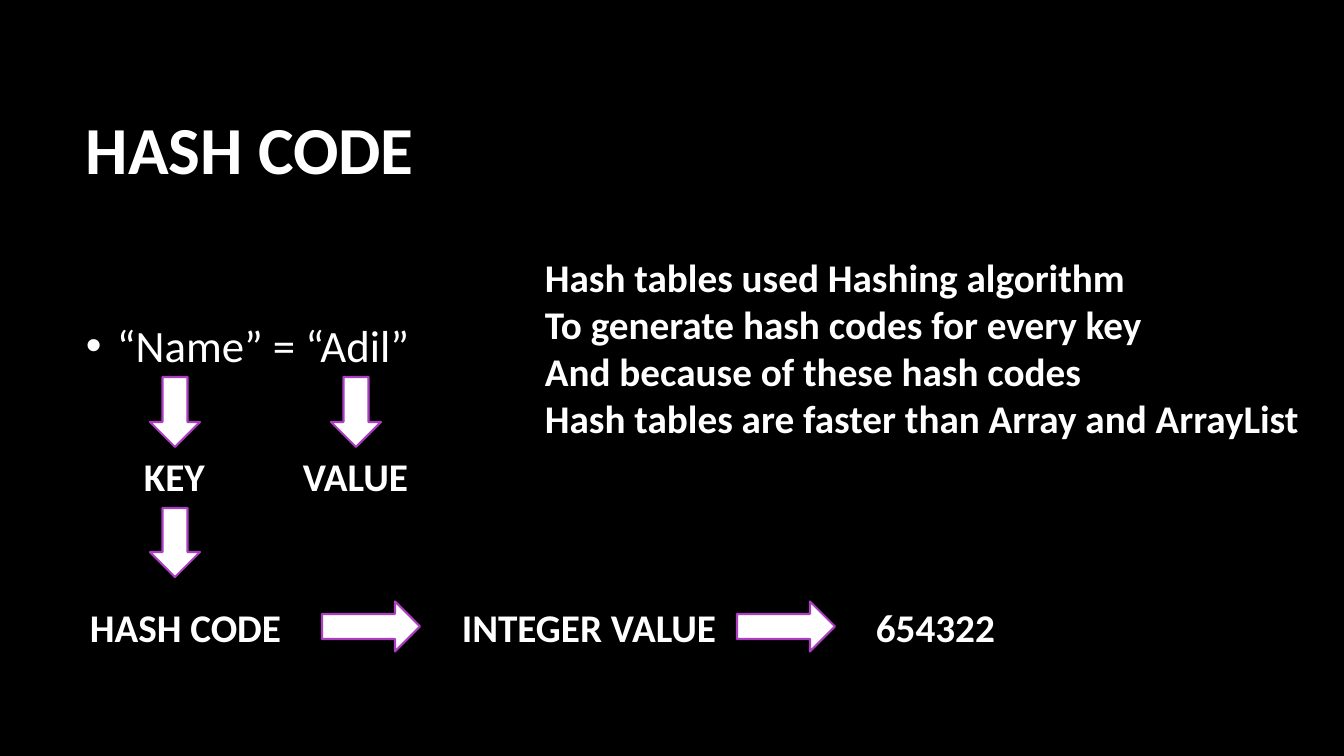
from pptx import Presentation
from pptx.dml.color import RGBColor
from pptx.enum.shapes import MSO_SHAPE
from pptx.enum.text import MSO_ANCHOR, MSO_AUTO_SIZE
from pptx.oxml import parse_xml
from pptx.oxml.ns import nsdecls
from pptx.util import Emu, Pt

COLORS = {"background": "000000", "text": "FFFFFF", "arrow": "FFFFFF", "outline": "AC3EC1"}
EMU_PER_PX = 914400 / 100.8
LABEL_H = 57


def px(n):
    return Emu(round(n * EMU_PER_PX))


def rgb(name):
    return RGBColor.from_string(COLORS[name])


def add_bullet(p, indent):
    pPr = p._p.get_or_add_pPr()
    pPr.set("marL", str(px(indent)))
    pPr.set("indent", str(-px(indent)))
    pPr.append(parse_xml(f'<a:buFont {nsdecls("a")} typeface="Arial"/>'))
    pPr.append(parse_xml(f'<a:buChar {nsdecls("a")} char="•"/>'))


def add_text(slide, text, x, y, w, h, size=28, bold=True, wrap=False,
             anchor=MSO_ANCHOR.TOP, bullet_indent=0):
    tf = slide.shapes.add_textbox(px(x), px(y), px(w), px(h)).text_frame
    tf.word_wrap = wrap
    tf.auto_size = MSO_AUTO_SIZE.NONE if wrap else MSO_AUTO_SIZE.SHAPE_TO_FIT_TEXT
    tf.vertical_anchor = anchor
    for i, line in enumerate(text.split("\n")):
        p = tf.add_paragraph() if i else tf.paragraphs[0]
        if bullet_indent:
            add_bullet(p, bullet_indent)
        r = p.add_run()
        r.text = line
        r.font.name = "Calibri"
        r.font.size = Pt(size)
        r.font.bold = bold
        r.font.color.rgb = rgb("text")


def add_arrow(slide, kind, x, y, w, h):
    sp = slide.shapes.add_shape(kind, px(x), px(y), px(w), px(h))
    sp.shadow.inherit = False
    sp.fill.solid()
    sp.fill.fore_color.rgb = rgb("arrow")
    sp.line.color.rgb = rgb("outline")
    sp.line.width = Pt(1.5)


def add_title(slide, x, y, w, h):
    add_text(slide, "HASH CODE", x, y, w, h, size=48, wrap=True, anchor=MSO_ANCHOR.MIDDLE)


def add_pair(slide, x, y, w, h):
    add_text(slide, "“Name” = “Adil”", x, y, w, 80, size=32, bold=False, wrap=True,
             anchor=MSO_ANCHOR.MIDDLE, bullet_indent=31)
    for text, center, label_w in (("KEY", 99, 82), ("VALUE", 280, 126)):
        add_arrow(slide, MSO_SHAPE.DOWN_ARROW, x + center - 25, y + 72, 50, 70)
        add_text(slide, text, x + center - label_w / 2, y + 142, label_w, LABEL_H)
    add_arrow(slide, MSO_SHAPE.DOWN_ARROW, x + 74, y + h - 69, 50, 69)


def add_flow(slide, x, y, w, h):
    for text, left, label_w in (("HASH CODE", 0, 214), ("INTEGER VALUE", 372, 277),
                                ("654322", 786, w - 786)):
        add_text(slide, text, x + left, y, label_w, h)
    for left in (242, 657):
        add_arrow(slide, MSO_SHAPE.RIGHT_ARROW, x + left, y + (h - 50) / 2, 98, 50)


def add_note(slide, x, y, w, h):
    add_text(slide, "Hash tables used Hashing algorithm\n"
                    "To generate hash codes for every key\n"
                    "And because of these hash codes\n"
                    "Hash tables are faster than Array and ArrayList", x, y, w, h)


def main():
    prs = Presentation()
    prs.slide_width, prs.slide_height = px(1344), px(756)
    slide = prs.slides.add_slide(prs.slide_layouts[6])
    slide.background.fill.solid()
    slide.background.fill.fore_color.rgb = rgb("background")
    add_title(slide, 76, 68, 1117, 160)
    add_pair(slide, 76, 305, 440, 272)
    add_flow(slide, 80, 598, 927, LABEL_H)
    add_note(slide, 535, 248, 783, 201)
    prs.save("out.pptx")


if __name__ == "__main__":
    main()
